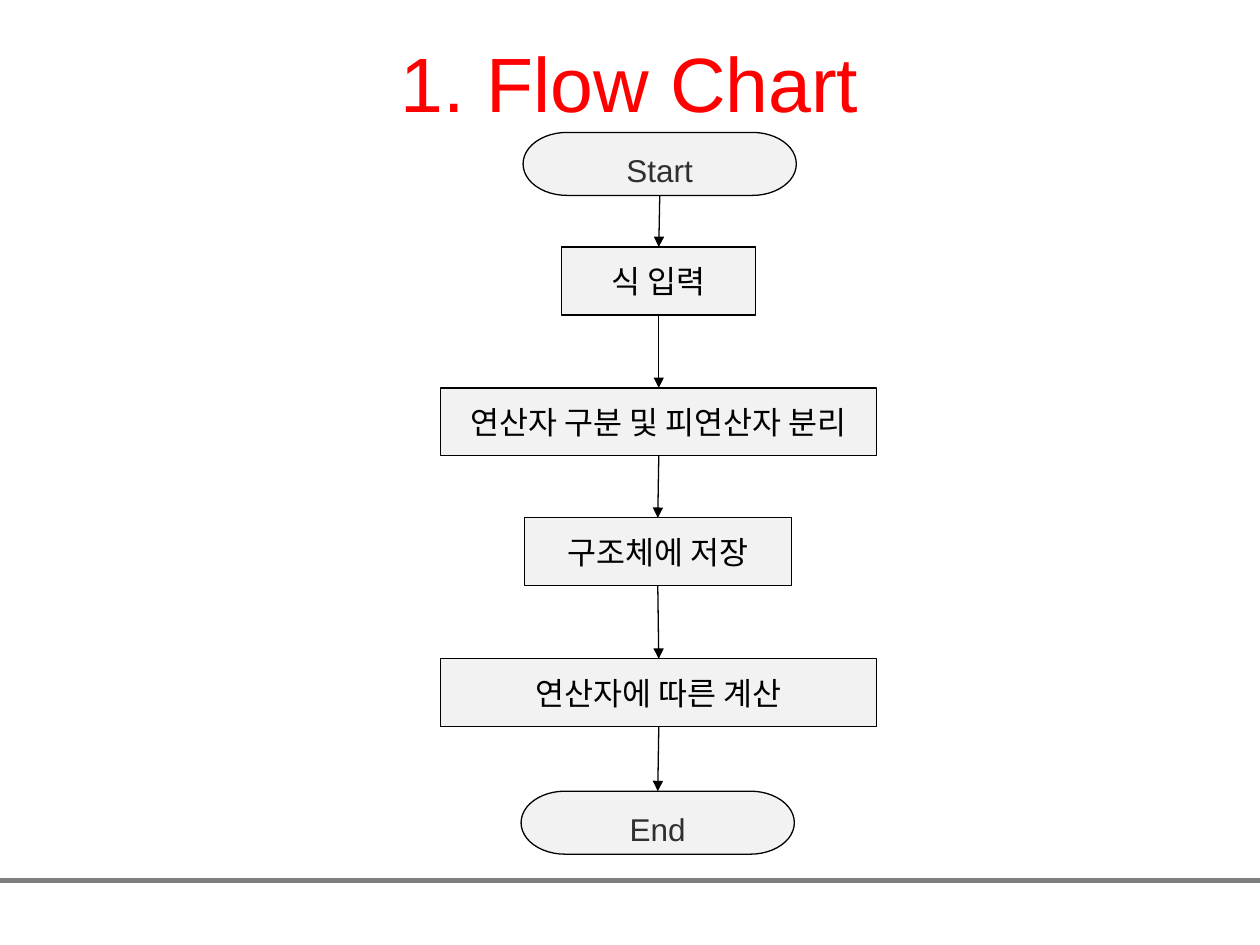
from itertools import pairwise

from lxml.etree import SubElement
from pptx import Presentation
from pptx.dml.color import RGBColor as Rgb
from pptx.enum.shapes import MSO_CONNECTOR as Link, MSO_SHAPE as Preset
from pptx.enum.text import MSO_ANCHOR as Anchor, PP_ALIGN as Align
from pptx.oxml.ns import qn
from pptx.util import Cm, Pt

COLORS = {"title": "FF0000", "fill": "F2F2F2", "line": "000000",
          "terminal": "303030", "process": "000000", "rule": "7F7F7F"}
LATIN, KOREAN = "Arial", "Noto Sans CJK KR"
STEPS = [
    ("Start", "terminal", 13.3, 2.67, 5.51),
    ("식 입력", "process", 13.28, 4.98, 3.91),
    ("연산자 구분 및 피연산자 분리", "process", 13.28, 7.82, 8.79),
    ("구조체에 저장", "process", 13.26, 10.44, 5.38),
    ("연산자에 따른 계산", "process", 13.28, 13.28, 8.79),
    ("End", "terminal", 13.26, 15.95, 5.51),
]
HEIGHTS = {"terminal": 1.27, "process": 1.37}


def write(frame, text, *, size, font, color, anchor=Anchor.TOP, top=0.13):
    frame.word_wrap = True
    frame.vertical_anchor = anchor
    frame.margin_left = frame.margin_right = Cm(0.25)
    frame.margin_top, frame.margin_bottom = Cm(top), Cm(0.13)
    para = frame.paragraphs[0]
    para.alignment = Align.CENTER
    span = para.add_run()
    span.text = text
    span.font.size = Pt(size)
    span.font.color.rgb = Rgb.from_string(COLORS[color])
    span.font.name = font
    SubElement(span.font._element, qn("a:ea"), typeface=font)


class FlowPage:
    """Draws flow chart elements on one page in a shared style."""

    def __init__(self, page):
        self.page = page
        self.outline = 0.75

    def title(self, text):
        box = self.page.shapes.add_textbox(Cm(1.27), Cm(0.43), Cm(22.86), Cm(3.18))
        write(box.text_frame, text, size=44, font=LATIN, color="title", top=0.28)

    def step(self, text, kind, center, top, width):
        terminal = kind == "terminal"
        preset = Preset.FLOWCHART_TERMINATOR if terminal else Preset.FLOWCHART_PROCESS
        box = self.page.shapes.add_shape(
            preset, Cm(center - width / 2), Cm(top), Cm(width), Cm(HEIGHTS[kind]))
        box.shadow.inherit = False
        box.fill.solid()
        box.fill.fore_color.rgb = Rgb.from_string(COLORS["fill"])
        box.line.color.rgb = Rgb.from_string(COLORS["line"])
        box.line.width = Pt(self.outline)
        write(box.text_frame, text, size=18, color=kind,
              font=LATIN if terminal else KOREAN,
              anchor=Anchor.TOP if terminal else Anchor.MIDDLE,
              top=0.2 if terminal else 0.13)

    def line(self, start, end, color, width):
        line = self.page.shapes.add_connector(
            Link.STRAIGHT, *map(Cm, start), *map(Cm, end))
        line.line.color.rgb = Rgb.from_string(COLORS[color])
        line.line.width = Pt(width)
        SubElement(line._element.spPr, qn("a:effectLst"))
        return line

    def arrow(self, start, end):
        line = self.line(start, end, "line", self.outline)
        SubElement(line.line._get_or_add_ln(), qn("a:tailEnd"), type="triangle")


def main():
    deck = Presentation()
    deck.slide_width, deck.slide_height = Cm(25.4), Cm(19.05)
    flow = FlowPage(deck.slides.add_slide(deck.slide_layouts[6]))
    flow.line((0, 17.75), (25.4, 17.75), "rule", 2.75)
    flow.title("1. Flow Chart")
    for step in STEPS:
        flow.step(*step)
    for (_, kind, center, top, _), (_, _, next_center, next_top, _) in pairwise(STEPS):
        flow.arrow((center, top + HEIGHTS[kind]), (next_center, next_top))
    deck.save("out.pptx")


if __name__ == "__main__":
    main()
